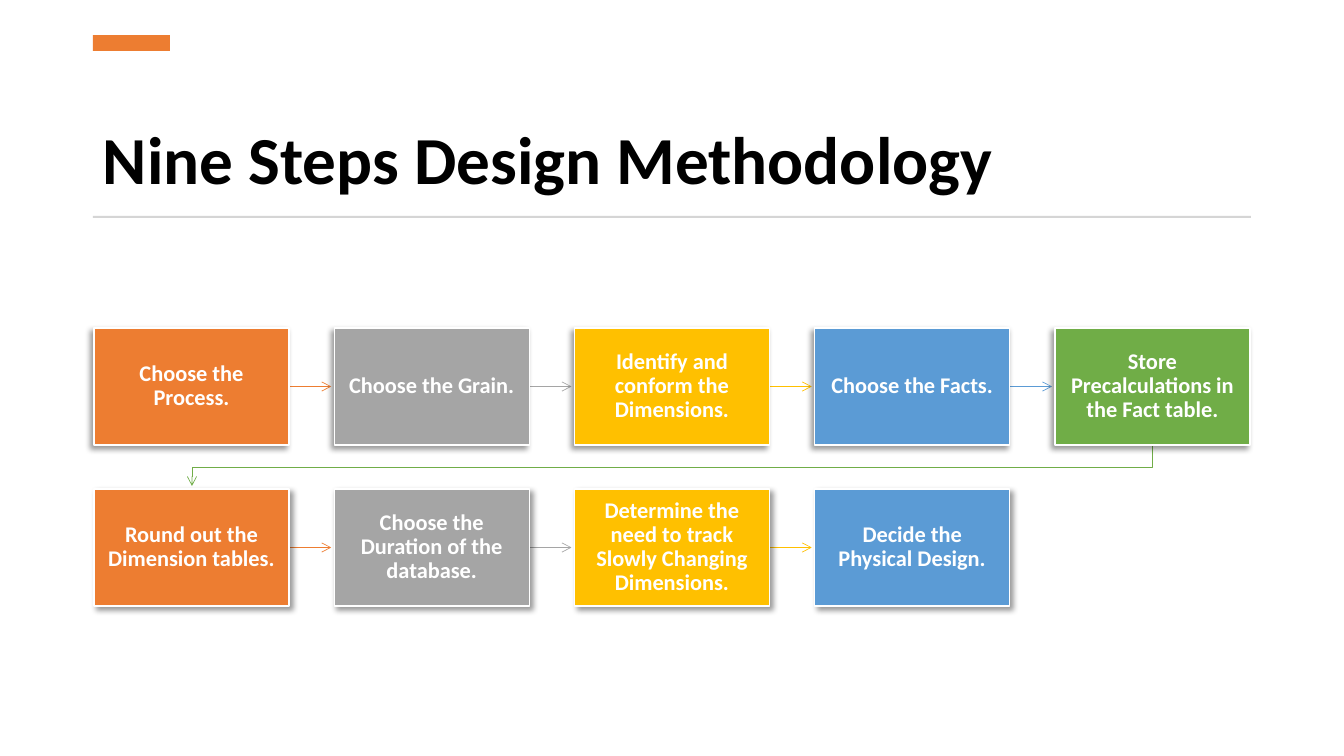
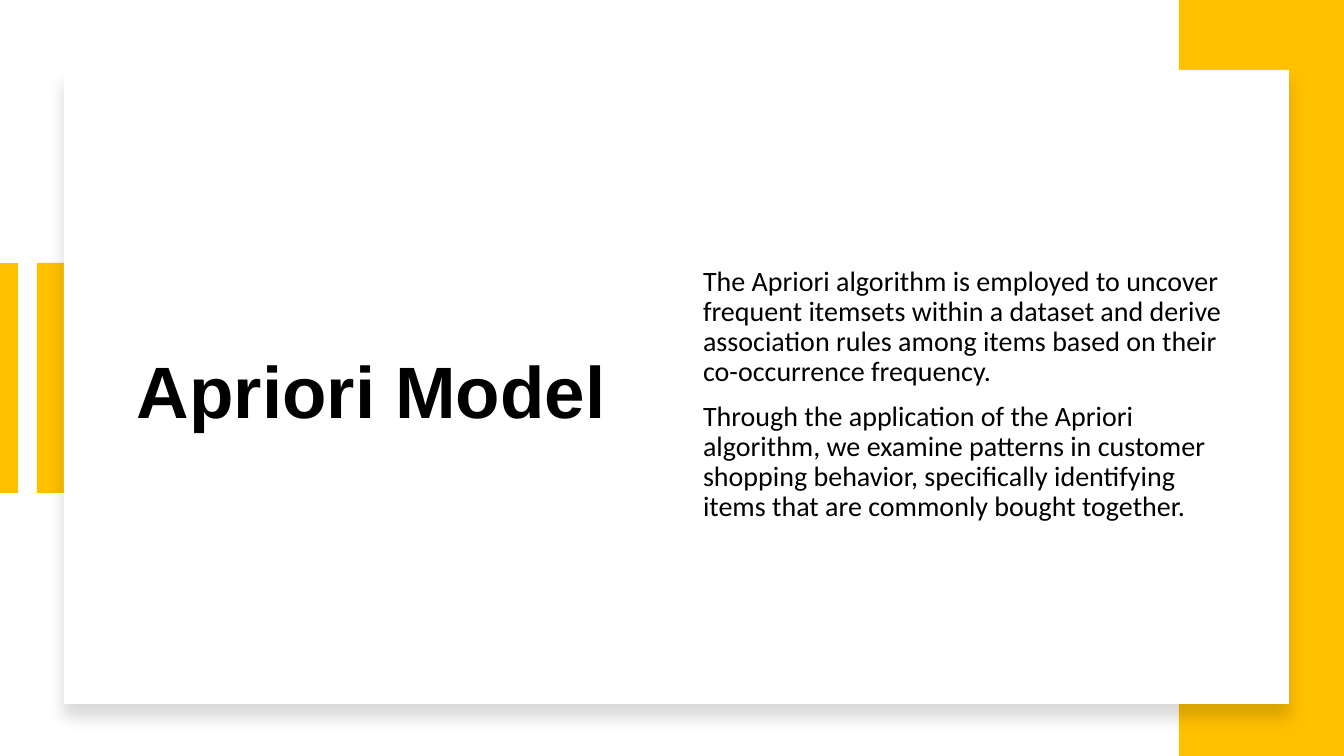
from collections import namedtuple

from lxml.etree import SubElement
from pptx import Presentation
from pptx.dml.color import RGBColor
from pptx.enum.shapes import MSO_CONNECTOR as Connector, MSO_SHAPE as Shape
from pptx.enum.text import MSO_ANCHOR as Anchor, PP_ALIGN as Align
from pptx.oxml.ns import qn
from pptx.util import Emu, Pt

EMU_PER_PX = 914400 / 100.8

BLACK = RGBColor(0x00, 0x00, 0x00)
WHITE = RGBColor(0xFF, 0xFF, 0xFF)
ORANGE = RGBColor(0xED, 0x7D, 0x31)
GRAY = RGBColor(0xA5, 0xA5, 0xA5)
YELLOW = RGBColor(0xFF, 0xC0, 0x00)
BLUE = RGBColor(0x5B, 0x9B, 0xD5)
GREEN = RGBColor(0x70, 0xAD, 0x47)
RULE_GRAY = RGBColor(0xD5, 0xD5, 0xD5)

BODY_FONT = "Calibri"
TITLE_STYLE = {"bold": True, "color": BLACK}

Box = namedtuple("Box", "left top width height")
Shadow = namedtuple("Shadow", "opacity blur distance angle")

STEP_COLORS = [ORANGE, GRAY, YELLOW, BLUE, GREEN]
STEP_ROWS = [
    (
        Shadow(40, 4, 3, 135),
        [
            "Choose the Process.",
            "Choose the Grain.",
            "Identify and conform the Dimensions.",
            "Choose the Facts.",
            "Store Precalculations in the Fact table.",
        ],
    ),
    (
        Shadow(40, 4, 3, 45),
        [
            "Round out the Dimension tables.",
            "Choose the Duration of the database.",
            "Determine the need to track Slowly Changing Dimensions.",
            "Decide the Physical Design.",
        ],
    ),
]
APRIORI_POINTS = [
    "The Apriori algorithm is employed to uncover frequent itemsets within a "
    "dataset and derive association rules among items based on their "
    "co-occurrence frequency.",
    "Through the application of the Apriori algorithm, we examine patterns in "
    "customer shopping behavior, specifically identifying items that are "
    "commonly bought together.",
]


def px(length):
    return Emu(round(length * EMU_PER_PX))


def emu_box(box):
    return [px(length) for length in box]


def write_text(frame, paragraphs, *, size, color, font=BODY_FONT, bold=False,
               align=Align.LEFT, anchor=Anchor.MIDDLE, before=0, insets=(10, 5)):
    frame.word_wrap = True
    frame.vertical_anchor = anchor
    frame.margin_left = frame.margin_right = px(insets[0])
    frame.margin_top = frame.margin_bottom = px(insets[1])
    for index, words in enumerate(paragraphs):
        paragraph = frame.add_paragraph() if index else frame.paragraphs[0]
        paragraph.alignment = align
        paragraph.line_spacing = 0.9
        paragraph.space_before = Pt(before)
        run = paragraph.add_run()
        run.text = words
        run.font.name = font
        run.font.size = Pt(size)
        run.font.bold = bold
        run.font.color.rgb = color


def add_text(slide, box, paragraphs, **style):
    frame = slide.shapes.add_textbox(*emu_box(box)).text_frame
    write_text(frame, paragraphs, **style)


def cast_shadow(panel, shadow):
    effects = panel._element.spPr.find(qn("a:effectLst"))
    outer = SubElement(
        effects, qn("a:outerShdw"), blurRad=str(Pt(shadow.blur)),
        dist=str(Pt(shadow.distance)), dir=str(shadow.angle * 60000),
        algn="ctr", rotWithShape="0")
    tint = SubElement(outer, qn("a:srgbClr"), val=str(BLACK))
    SubElement(tint, qn("a:alpha"), val=str(shadow.opacity * 1000))


def add_panel(slide, box, fill, outline=None, shadow=None):
    panel = slide.shapes.add_shape(Shape.RECTANGLE, *emu_box(box))
    panel.fill.solid()
    panel.fill.fore_color.rgb = fill
    if outline is None:
        panel.line.fill.background()
    else:
        panel.line.color.rgb = outline
        panel.line.width = Pt(1)
    panel.shadow.inherit = False
    if shadow:
        cast_shadow(panel, shadow)
    return panel


def style_line(stroke, color, width, arrow=False):
    stroke.line.color.rgb = color
    stroke.line.width = Pt(width)
    if arrow:
        SubElement(stroke.line._get_or_add_ln(), qn("a:tailEnd"), type="arrow")


def add_line(slide, start, end, color, width, arrow=False):
    stroke = slide.shapes.add_connector(
        Connector.STRAIGHT, *[px(value) for value in (*start, *end)])
    style_line(stroke, color, width, arrow)
    SubElement(stroke._element.spPr, qn("a:effectLst"))


def add_bent_arrow(slide, points, color, width):
    builder = slide.shapes.build_freeform(*points[0], scale=EMU_PER_PX)
    builder.add_line_segments(points[1:], close=False)
    stroke = builder.convert_to_shape()
    stroke.fill.background()
    stroke.shadow.inherit = False
    style_line(stroke, color, width, arrow=True)


def add_ruled_title(slide, box, title):
    add_panel(slide, Box(box.left, box.top, 77, 16), ORANGE)
    add_text(slide, Box(box.left, box.top + 41, box.width, 128), [title],
             size=48, anchor=Anchor.BOTTOM, **TITLE_STYLE)
    add_panel(slide, Box(box.left, box.top + box.height - 2, box.width, 2),
              RULE_GRAY)


def add_step_flow(slide, box, rows):
    step_width, step_height, standoff = 195, 117, 3
    column_pitch = (box.width - step_width) / (len(STEP_COLORS) - 1)
    row_pitch = (box.height - step_height) / (len(rows) - 1)
    column_gap = column_pitch - step_width
    row_gap = row_pitch - step_height
    for row, (shadow, steps) in enumerate(rows):
        top = box.top + row * row_pitch
        bottom, middle = top + step_height, top + step_height / 2
        for column, (step, color) in enumerate(zip(steps, STEP_COLORS)):
            left = box.left + column * column_pitch
            right = left + step_width
            if column < len(steps) - 1:
                add_line(slide, (right, middle),
                         (right + column_gap - standoff, middle),
                         color, 0.5, arrow=True)
            elif row < len(rows) - 1:
                start_x = left + step_width / 2
                end_x = box.left + step_width / 2
                turn_y = bottom + row_gap / 2
                add_bent_arrow(
                    slide,
                    [(start_x, bottom), (start_x, turn_y), (end_x, turn_y),
                     (end_x, bottom + row_gap - standoff)],
                    color, 0.5)
            panel = add_panel(slide, Box(left, top, step_width, step_height),
                              color, outline=WHITE, shadow=shadow)
            write_text(panel.text_frame, [step], size=16, color=WHITE,
                       bold=True, align=Align.CENTER, insets=(9, 10))


def add_side_accents(slide, box):
    add_panel(slide, Box(box.left + 37, box.top + 263, 34, 230), YELLOW)
    add_line(slide, (box.left + 8, box.top + 263), (box.left + 8, box.top + 493),
             YELLOW, 14)
    add_panel(slide, Box(box.left + box.width - 165, box.top, 165, box.height),
              YELLOW)


def add_topic_card(slide, box, title, points):
    add_panel(slide, box, WHITE, shadow=Shadow(15, 11, 10, 90))
    title_box = Box(box.left + 63, box.top + 67, 548, 516)
    add_text(slide, title_box, [title], size=52, font="Arial", **TITLE_STYLE)
    add_text(slide, title_box._replace(left=title_box.left + 566), points,
             size=20, color=BLACK, before=10)


def build_methodology(slide, page):
    add_ruled_title(slide, Box(page.left + 93, page.top + 35, 1158, 183),
                    "Nine Steps Design Methodology")
    add_step_flow(slide, Box(page.left + 94, page.top + 328, 1156, 278),
                  STEP_ROWS)


def build_apriori(slide, page):
    add_side_accents(slide, page)
    add_topic_card(slide, Box(page.left + 64, page.top + 70, 1225, 634),
                   "Apriori Model", APRIORI_POINTS)


def main():
    deck = Presentation()
    page = Box(0, 0, 1344, 756)
    deck.slide_width, deck.slide_height = px(page.width), px(page.height)
    for build in (build_methodology, build_apriori):
        build(deck.slides.add_slide(deck.slide_layouts[6]), page)
    deck.save("out.pptx")


if __name__ == "__main__":
    main()
